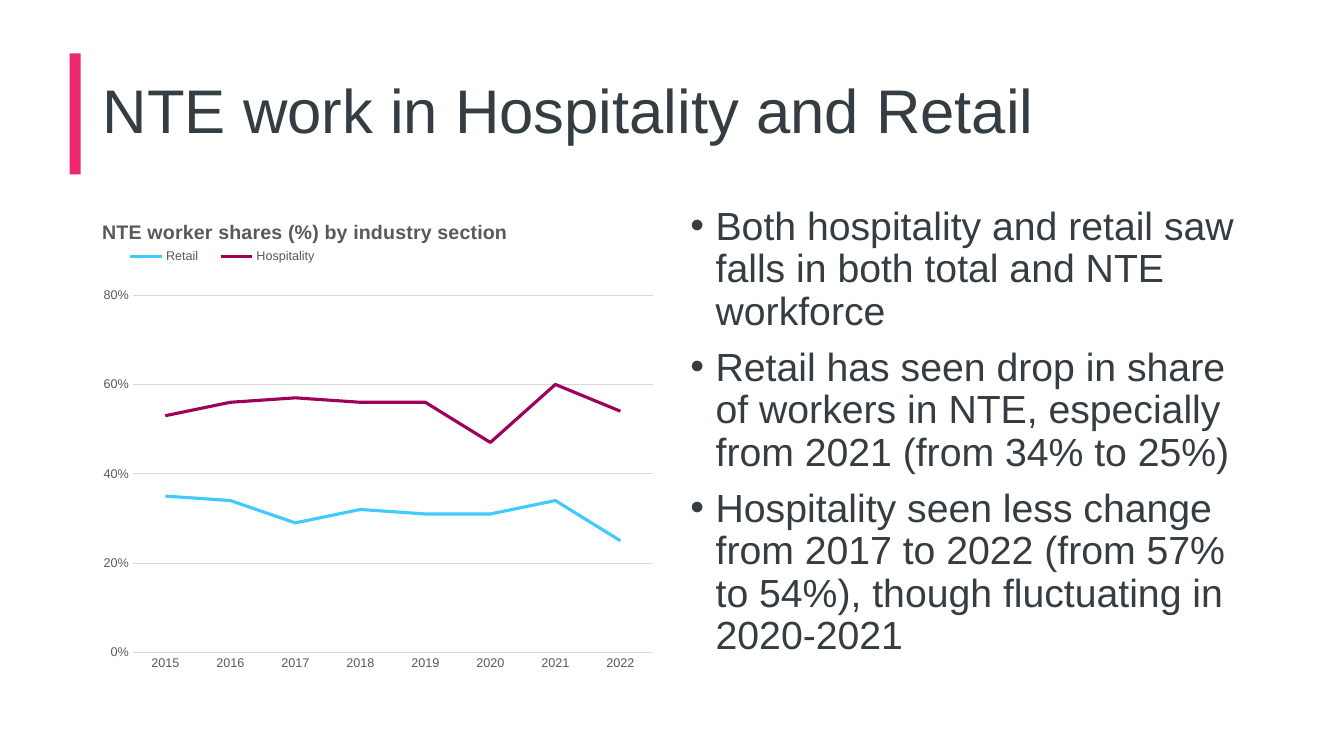
from dataclasses import dataclass

from lxml.etree import SubElement
from pptx import Presentation
from pptx.chart.chart import Chart
from pptx.chart.data import CategoryChartData
from pptx.dml.color import RGBColor
from pptx.enum.chart import XL_CHART_TYPE as ChartType
from pptx.enum.chart import XL_LEGEND_POSITION as LegendPosition
from pptx.enum.chart import XL_TICK_MARK as TickMark
from pptx.enum.shapes import MSO_SHAPE as ShapeKind
from pptx.enum.text import MSO_ANCHOR as Anchor
from pptx.enum.text import MSO_AUTO_SIZE as AutoSize
from pptx.enum.text import PP_ALIGN as Align
from pptx.oxml import parse_xml
from pptx.oxml.ns import nsdecls, qn
from pptx.slide import Slide
from pptx.text.text import Font
from pptx.util import Inches, Pt


@dataclass(frozen=True)
class Theme:
    font: str = "Arial"
    ink: str = "353D42"
    accent: str = "EE266D"
    muted: str = "595959"
    grid: str = "D9D9D9"
    title_size: float = 44
    body_size: float = 28
    chart_title_size: float = 14
    label_size: float = 9
    grid_width: float = 0.75
    series_width: float = 2.25


@dataclass(frozen=True)
class Area:
    left: float
    top: float
    width: float
    height: float

    def inches(self) -> tuple[Inches, ...]:
        return tuple(map(Inches, (self.left, self.top, self.width, self.height)))


@dataclass(frozen=True)
class Industry:
    name: str
    color: str
    shares: tuple[float, ...]


THEME = Theme()
TITLE_AREA = Area(0.92, 0.4, 11.5, 1.45)
BAR_AREA = Area(0.69, 0.53, 0.11, 1.2)
CHART_AREA = Area(0.92, 2, 5.67, 4.76)
BULLET_AREA = Area(6.75, 2, 5.67, 4.76)

YEARS = [str(year) for year in range(2015, 2023)]
INDUSTRIES = (
    Industry("Retail\u00a0", "41CAFF", (0.35, 0.34, 0.29, 0.32, 0.31, 0.31, 0.34, 0.25)),
    Industry("Hospitality\u00a0", "9E0059", (0.53, 0.56, 0.57, 0.56, 0.56, 0.47, 0.6, 0.54)),
)
FINDINGS = (
    "Both hospitality and retail saw falls in both total and NTE workforce",
    "Retail has seen drop in share of workers in NTE, especially from 2021 (from 34% to 25%)",
    "Hospitality seen less change from 2017 to 2022 (from 57% to 54%), "
    "though fluctuating in 2020-2021",
)


def style_font(font: Font, size: float, color: str, bold: bool = False) -> None:
    font.name = THEME.font
    font.size = Pt(size)
    font.bold = bold
    font.color.rgb = RGBColor.from_string(color)


def add_title(page: Slide, text: str) -> None:
    bar = page.shapes.add_shape(ShapeKind.RECTANGLE, *BAR_AREA.inches())
    bar.shadow.inherit = False
    bar.fill.solid()
    bar.fill.fore_color.rgb = RGBColor.from_string(THEME.accent)
    bar.line.fill.background()

    title = page.shapes.title
    title.left, title.top, title.width, title.height = TITLE_AREA.inches()
    frame = title.text_frame
    frame.text = text
    frame.auto_size = AutoSize.NONE
    frame.vertical_anchor = Anchor.MIDDLE
    para = frame.paragraphs[0]
    para.alignment = Align.LEFT
    para.line_spacing = 0.9
    style_font(para.runs[0].font, THEME.title_size, THEME.ink)


def add_bullets(page: Slide, lines: tuple[str, ...]) -> None:
    frame = page.shapes.add_textbox(*BULLET_AREA.inches()).text_frame
    frame.word_wrap = True
    frame.text = "\n".join(lines)
    for para in frame.paragraphs:
        para.line_spacing = 0.9
        para.space_before = Pt(10)
        style_font(para.runs[0].font, THEME.body_size, THEME.ink)
        properties = para._p.get_or_add_pPr()
        properties.set("marL", str(Inches(0.25)))
        properties.set("indent", str(Inches(-0.25)))
        SubElement(properties, qn("a:buFont")).set("typeface", THEME.font)
        SubElement(properties, qn("a:buChar")).set("char", "•")


def place_part(chart: Chart, tag: str, index: int, **settings: float | str) -> None:
    part = next(chart._chartSpace.iter(qn(tag)))
    for old_layout in part.findall(qn("c:layout")):
        part.remove(old_layout)
    layout = parse_xml(f"<c:layout {nsdecls('c')}><c:manualLayout/></c:layout>")
    for name, value in settings.items():
        SubElement(layout[0], qn(f"c:{name}")).set("val", str(value))
    part.insert(index, layout)


def add_share_chart(page: Slide) -> None:
    data = CategoryChartData(number_format="0%")
    data.categories = YEARS
    for industry in INDUSTRIES:
        data.add_series(industry.name, industry.shares)
    chart = page.shapes.add_chart(ChartType.LINE, *CHART_AREA.inches(), data).chart
    style_font(chart.font, THEME.label_size, THEME.muted)

    chart.has_title = True
    heading = chart.chart_title.text_frame
    heading.text = "NTE worker shares (%) by industry section"
    style_font(heading.paragraphs[0].runs[0].font, THEME.chart_title_size, THEME.muted, True)

    chart.has_legend = True
    chart.legend.position = LegendPosition.TOP
    chart.legend.include_in_layout = False
    style_font(chart.legend.font, THEME.label_size, THEME.muted)

    years, shares = chart.category_axis, chart.value_axis
    for axis in (years, shares):
        axis.major_tick_mark = axis.minor_tick_mark = TickMark.NONE
        style_font(axis.tick_labels.font, THEME.label_size, THEME.muted)
    shares.minimum_scale, shares.maximum_scale, shares.major_unit = 0, 0.8, 0.2
    shares.tick_labels.number_format = "0%"
    shares.tick_labels.number_format_is_linked = False
    shares.format.line.fill.background()
    for line in (years.format.line, shares.major_gridlines.format.line):
        line.color.rgb = RGBColor.from_string(THEME.grid)
        line.width = Pt(THEME.grid_width)

    chart.plots[0].vary_by_categories = False
    for series, industry in zip(chart.plots[0].series, INDUSTRIES):
        series.smooth = False
        series.format.line.color.rgb = RGBColor.from_string(industry.color)
        series.format.line.width = Pt(THEME.series_width)

    place_part(chart, "c:title", 1, xMode="edge", yMode="edge", x=0.01, y=0.03)
    place_part(chart, "c:legend", 1, xMode="edge", yMode="edge", x=0.04, y=0.09, w=0.38, h=0.05)
    place_part(chart, "c:plotArea", 0, layoutTarget="inner", xMode="edge", yMode="edge",
               x=0.07, y=0.195, w=0.91, h=0.745)


def main() -> None:
    deck = Presentation()
    deck.slide_width, deck.slide_height = Inches(13.33), Inches(7.5)
    page = deck.slides.add_slide(deck.slide_layouts.get_by_name("Title Only"))
    add_title(page, "NTE work in Hospitality and Retail")
    add_share_chart(page)
    add_bullets(page, FINDINGS)
    deck.save("out.pptx")


main()
